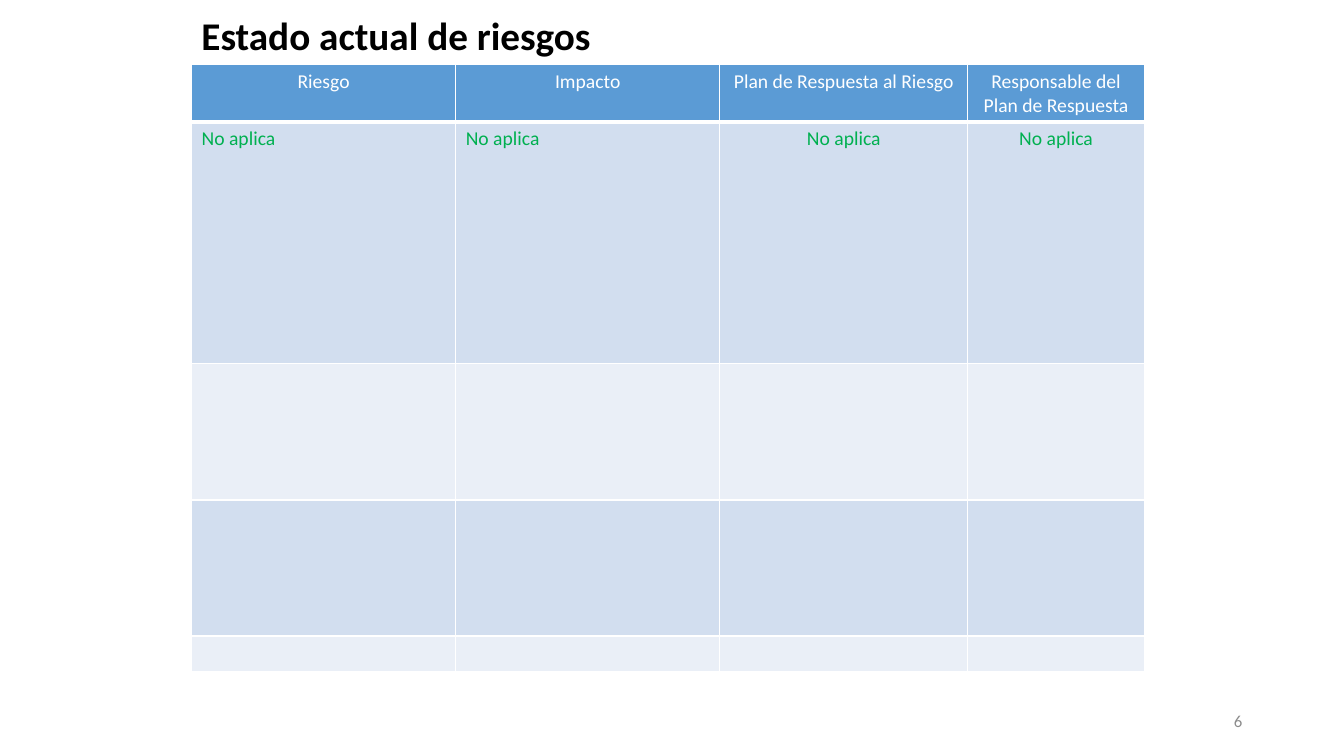
import pptx
import pptx.dml.color
import pptx.enum.text
import pptx.oxml
import pptx.oxml.ns
import pptx.util

Inches = pptx.util.Inches
Pt = pptx.util.Pt
ALIGN = pptx.enum.text.PP_ALIGN
ANCHOR = pptx.enum.text.MSO_ANCHOR

FONT = "Calibri"
WHITE = "FFFFFF"
HEADER_FILL = "5B9BD5"
BAND_FILLS = ["D2DEEF", "EAEFF7"]
TABLE_TEXT_SIZE = 14

COLUMN_WIDTHS = [2.62, 2.62, 2.46, 1.75]
ROW_HEIGHTS = [0.57, 2.4, 1.35, 1.35, 0.35]
HEADERS = ["Riesgo", "Impacto", "Plan de Respuesta al Riesgo",
           "Responsable del Plan de Respuesta"]
RISKS = [["No aplica"] * 4]
RISK_ALIGNS = [ALIGN.LEFT, ALIGN.LEFT, ALIGN.CENTER, ALIGN.CENTER]


def color(value):
    return pptx.dml.color.RGBColor.from_string(value)


def write(para, text, size, hue, align=ALIGN.LEFT, bold=False):
    para.alignment = align
    span = para.add_run()
    span.text = text
    formats = {"name": FONT, "size": Pt(size), "bold": bold}
    for name, value in formats.items():
        setattr(span.font, name, value)
    span.font.color.rgb = color(hue)


def add_label(page, bounds, text, size, hue, **formats):
    box = page.shapes.add_textbox(*[Inches(length) for length in bounds])
    frame = box.text_frame
    frame.word_wrap = True
    frame.vertical_anchor = ANCHOR.MIDDLE
    write(frame.paragraphs[0], text, size, hue, **formats)


def add_borders(cell, widths):
    properties = cell._tc.get_or_add_tcPr()
    for side, width in widths.items():
        properties.append(pptx.oxml.parse_xml(
            f'<a:ln{side} {pptx.oxml.ns.nsdecls("a")} w="{Pt(width)}">'
            f'<a:solidFill><a:srgbClr val="{WHITE}"/></a:solidFill>'
            f'</a:ln{side}>'))


def style_cell(cell, fill, top=1, bottom=1):
    add_borders(cell, {"L": 1, "R": 1, "T": top, "B": bottom})
    cell.fill.solid()
    cell.fill.fore_color.rgb = color(fill)


def size_empty_cell(cell):
    para = cell.text_frame.paragraphs[0]
    para._p.append(pptx.oxml.parse_xml(
        f'<a:endParaRPr {pptx.oxml.ns.nsdecls("a")} '
        f'sz="{TABLE_TEXT_SIZE * 100}"/>'))


def add_risk_table(page, left, top):
    table = page.shapes.add_table(
        len(ROW_HEIGHTS), len(COLUMN_WIDTHS), Inches(left), Inches(top),
        Inches(sum(COLUMN_WIDTHS)), Inches(sum(ROW_HEIGHTS))).table
    for column, width in zip(table.columns, COLUMN_WIDTHS):
        column.width = Inches(width)
    for row, height in zip(table.rows, ROW_HEIGHTS):
        row.height = Inches(height)

    for index, header in enumerate(HEADERS):
        cell = table.cell(0, index)
        style_cell(cell, HEADER_FILL, bottom=3)
        write(cell.text_frame.paragraphs[0], header, TABLE_TEXT_SIZE, WHITE,
              align=ALIGN.CENTER)

    for number in range(1, len(ROW_HEIGHTS)):
        for index, align in enumerate(RISK_ALIGNS):
            cell = table.cell(number, index)
            style_cell(cell, BAND_FILLS[(number - 1) % 2],
                       top=3 if number == 1 else 1)
            if number <= len(RISKS):
                write(cell.text_frame.paragraphs[0], RISKS[number - 1][index],
                      TABLE_TEXT_SIZE, "00B050", align=align)
            else:
                size_empty_cell(cell)


def main():
    deck = pptx.Presentation()
    deck.slide_width = Inches(13.33)
    deck.slide_height = Inches(7.5)
    page = deck.slides.add_slide(deck.slide_layouts[6])
    add_label(page, (1.9, 0.15, 8.5, 0.39), "Estado actual de riesgos",
              28, "000000", bold=True)
    add_label(page, (9.42, 6.95, 3, 0.4), "6", 12, "8C8C8C",
              align=ALIGN.RIGHT)
    add_risk_table(page, 1.9, 0.64)
    deck.save("out.pptx")


if __name__ == "__main__":
    main()
